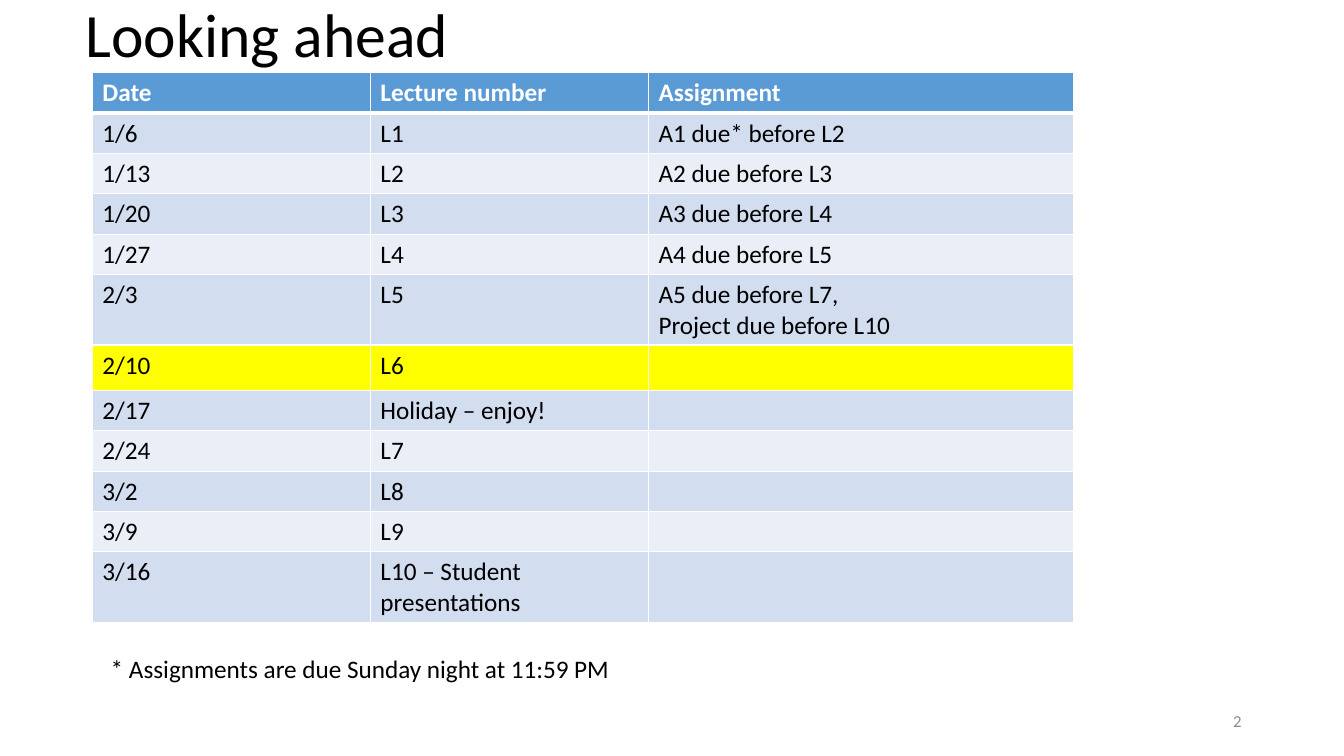
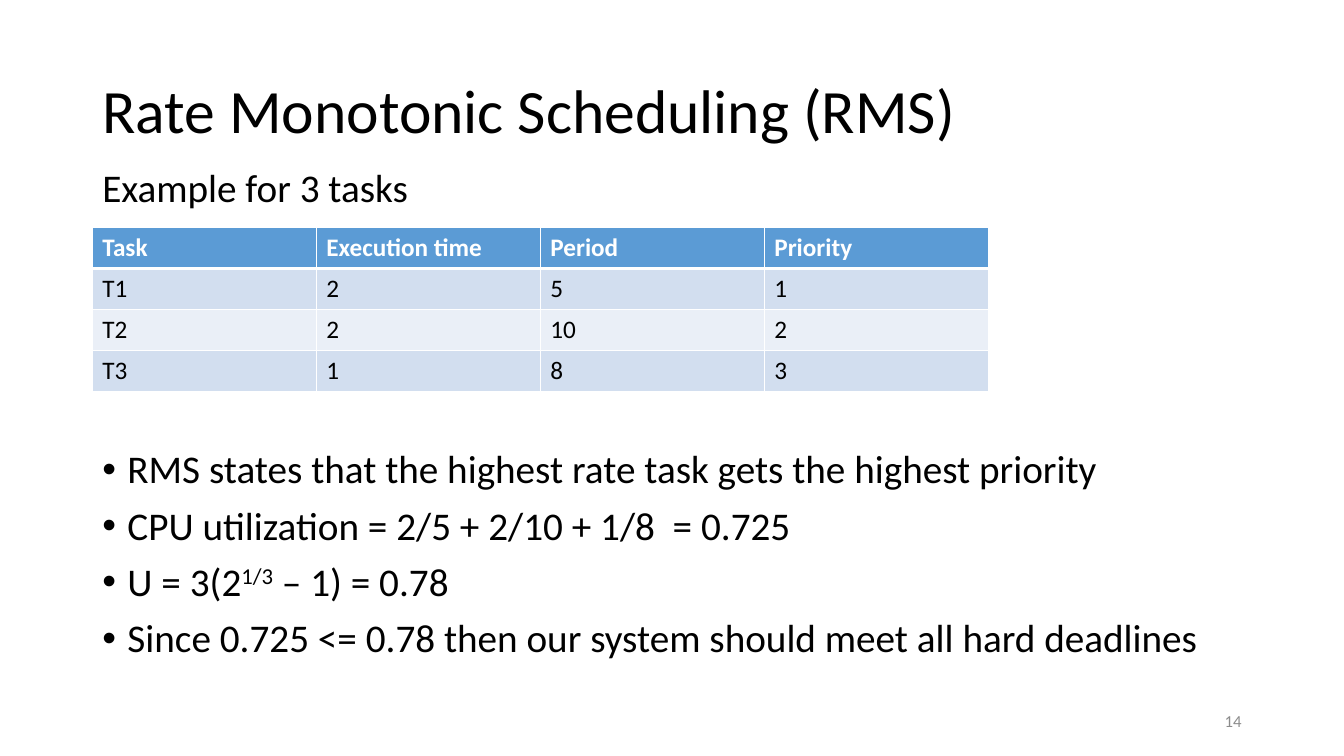
from lxml import etree
from pptx import Presentation
from pptx import util as u
from pptx.dml import color
from pptx.enum import text
from pptx.oxml import ns

# Content
SCHEDULE = [
    ("Date", "Lecture number", "Assignment"),
    ("1/6", "L1", "A1 due* before L2"),
    ("1/13", "L2", "A2 due before L3"),
    ("1/20", "L3", "A3 due before L4"),
    ("1/27", "L4", "A4 due before L5"),
    ("2/3", "L5", "A5 due before L7,\nProject due before L10"),
    ("2/10", "L6", ""),
    ("2/17", "Holiday – enjoy!", ""),
    ("2/24", "L7", ""),
    ("3/2", "L8", ""),
    ("3/9", "L9", ""),
    ("3/16", "L10 – Student presentations", ""),
]
THIS_WEEK = 6
FOOTNOTE = "* Assignments are due Sunday night at 11:59 PM"

TASKS = [
    ("Task", "Execution time", "Period", "Priority"),
    ("T1", "2", "5", "1"),
    ("T2", "2", "10", "2"),
    ("T3", "1", "8", "3"),
]
INTRO = "Example for 3 tasks"
# Each bullet is a list of runs; every second run is superscript
BULLETS = [
    ["RMS states that the highest rate task gets the highest priority"],
    ["CPU utilization = 2/5 + 2/10 + 1/8  = 0.725"],
    ["U = 3(2", "1/3", " – 1) = 0.78"],
    ["Since 0.725 <= 0.78 then our system should meet all hard deadlines"],
]

# Shared style
BLACK, WHITE, GREY = "000000", "FFFFFF", "8C8C8C"
HEADER, BANDS, HIGHLIGHT = "5B9BD5", ("EAEFF7", "D2DEEF"), "FFFF00"
TITLE = {"size": u.Pt(44)}
BODY = {"size": u.Pt(28)}
SMALL = {"size": u.Pt(18)}
NUMBER = {"size": u.Pt(12)}
BODY_SPACING = {"line_spacing": 0.9, "space_before": u.Pt(10)}
LEFT, WIDTH = 66, 828
TABLE_GAP = 171  # room in the body text for the task table


def rgb(value):
    """Turn a hex string into a colour."""
    return color.RGBColor.from_string(value)


def apply(target, values):
    """Set each attribute named in a dict of values."""
    for name, value in values.items():
        setattr(target, name, value)


def add_span(para, words, style, tint=BLACK):
    """Add one formatted run to a paragraph."""
    span = para.add_run()
    span.text = words
    apply(span.font, {"name": "Calibri", "bold": False, **style})
    span.font.color.rgb = rgb(tint)
    return span


def add_box(page, left, top, width, height, anchor=text.MSO_ANCHOR.TOP, wrap=True):
    """Add a text box and return its text frame."""
    box = page.shapes.add_textbox(*map(u.Pt, (left, top, width, height)))
    apply(box.text_frame, {"word_wrap": wrap, "vertical_anchor": anchor})
    return box.text_frame


def add_page(deck, title, number, left, top, anchor):
    """Add a slide with its title and slide number."""
    page = deck.slides.add_slide(deck.slide_layouts[6])
    para = add_box(page, left, top, WIDTH, 104.4, anchor).paragraphs[0]
    para.line_spacing = 0.9
    add_span(para, title, TITLE)
    frame = add_box(page, 678, 500.5, 216, 28.75, text.MSO_ANCHOR.MIDDLE)
    frame.paragraphs[0].alignment = text.PP_ALIGN.RIGHT
    add_span(frame.paragraphs[0], str(number), NUMBER, GREY)
    return page


def add_borders(cell, bottom):
    """Draw white cell borders, with a given bottom width."""
    props = cell._tc.get_or_add_tcPr()
    edges = {"lnL": 1, "lnR": 1, "lnT": 1, "lnB": bottom}
    for place, (edge, width) in enumerate(edges.items()):
        line = etree.Element(ns.qn("a:" + edge), w=str(u.Pt(width)))
        fill = etree.SubElement(line, ns.qn("a:solidFill"))
        etree.SubElement(fill, ns.qn("a:srgbClr"), val=WHITE)
        props.insert(place, line)


def add_grid(page, rows, top, widths, heights, highlight=None):
    """Add a banded table with a header row."""
    frame = page.shapes.add_table(len(rows), len(widths), u.Pt(LEFT), u.Pt(top),
                                  u.Pt(sum(widths)), u.Pt(sum(heights)))
    grid = frame.table
    for column, width in zip(grid.columns, widths):
        column.width = u.Pt(width)
    for index, (row, height, entries) in enumerate(zip(grid.rows, heights, rows)):
        row.height = u.Pt(height)
        header = index == 0
        fill = HEADER if header else BANDS[index % 2]
        if index == highlight:
            fill = HIGHLIGHT
        for cell, entry in zip(row.cells, entries):
            cell.fill.solid()
            cell.fill.fore_color.rgb = rgb(fill)
            add_borders(cell, 3 if header else 1)
            frame = cell.text_frame
            for place, words in enumerate(entry.splitlines()):
                para = frame.add_paragraph() if place else frame.paragraphs[0]
                add_span(para, words, {**SMALL, "bold": header},
                         WHITE if header else BLACK)


def add_bullet(para):
    """Give a paragraph a hanging round bullet."""
    props = para._p.get_or_add_pPr()
    props.set("marL", str(u.Pt(18)))
    props.set("indent", str(u.Pt(-18)))
    etree.SubElement(props, ns.qn("a:buFont"), typeface="Arial")
    etree.SubElement(props, ns.qn("a:buChar"), char="•")


def build_schedule(deck):
    """Build the course schedule slide."""
    page = add_page(deck, "Looking ahead", 2, 54, -0.7, text.MSO_ANCHOR.TOP)
    heights = [32.4 if index == THIS_WEEK else 27.4 for index in range(len(SCHEDULE))]
    add_grid(page, SCHEDULE, 51.9, [198.6, 198.6, 304], heights, THIS_WEEK)
    frame = add_box(page, 72, 463, 375, 29, wrap=False)
    add_span(frame.paragraphs[0], FOOTNOTE, SMALL)


def build_scheduling(deck):
    """Build the rate monotonic scheduling slide."""
    page = add_page(deck, "Rate Monotonic Scheduling (RMS)", 14, LEFT, 28.75,
                    text.MSO_ANCHOR.MIDDLE)
    frame = add_box(page, LEFT, 116.6, WIDTH, 370)
    apply(frame.paragraphs[0], BODY_SPACING)
    add_span(frame.paragraphs[0], INTRO, BODY)
    for index, bullet in enumerate(BULLETS):
        para = frame.add_paragraph()
        apply(para, BODY_SPACING)
        if index == 0:
            para.space_before = u.Pt(TABLE_GAP)
        add_bullet(para)
        for place, words in enumerate(bullet):
            span = add_span(para, words, BODY)
            if place % 2:
                span.font._element.set("baseline", "30000")
    add_grid(page, TASKS, 162.6, [160] * 4, [29.2] * len(TASKS))


deck = Presentation()
apply(deck, {"slide_width": u.Pt(960), "slide_height": u.Pt(540)})
build_schedule(deck)
build_scheduling(deck)
deck.save("out.pptx")
